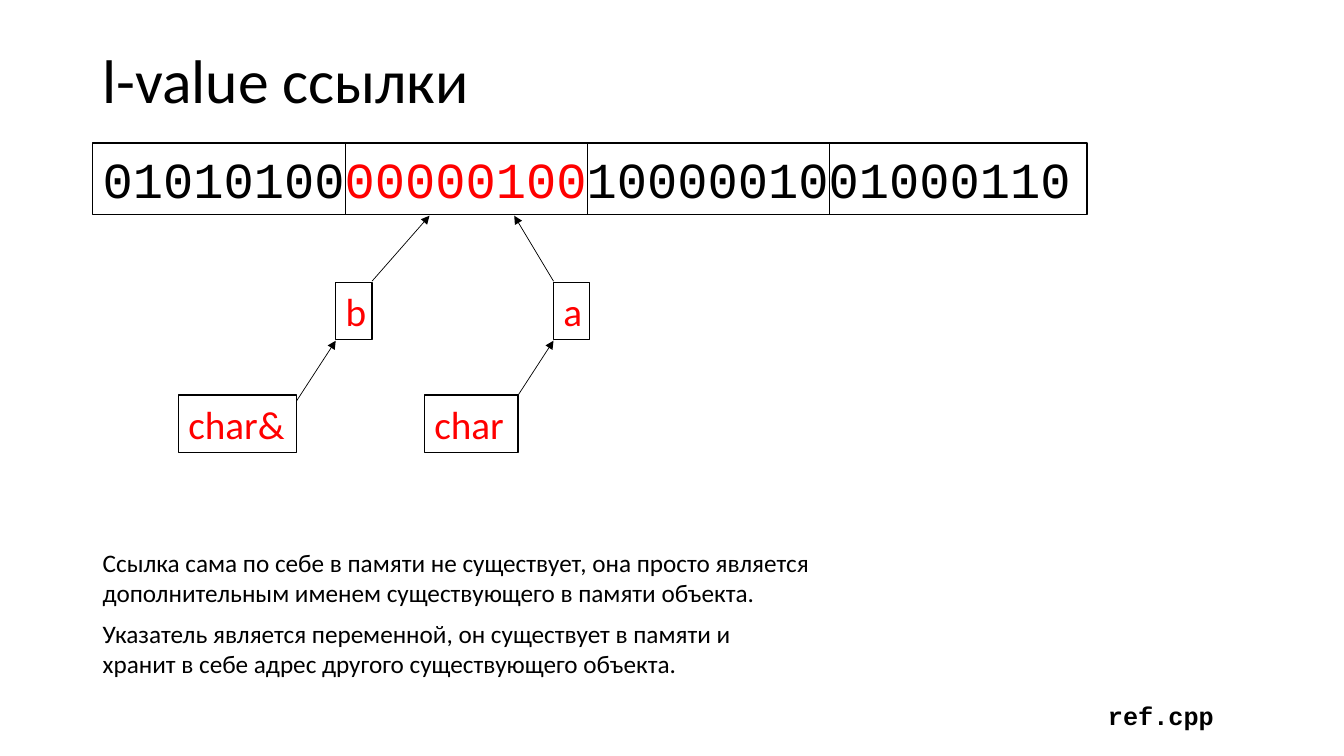
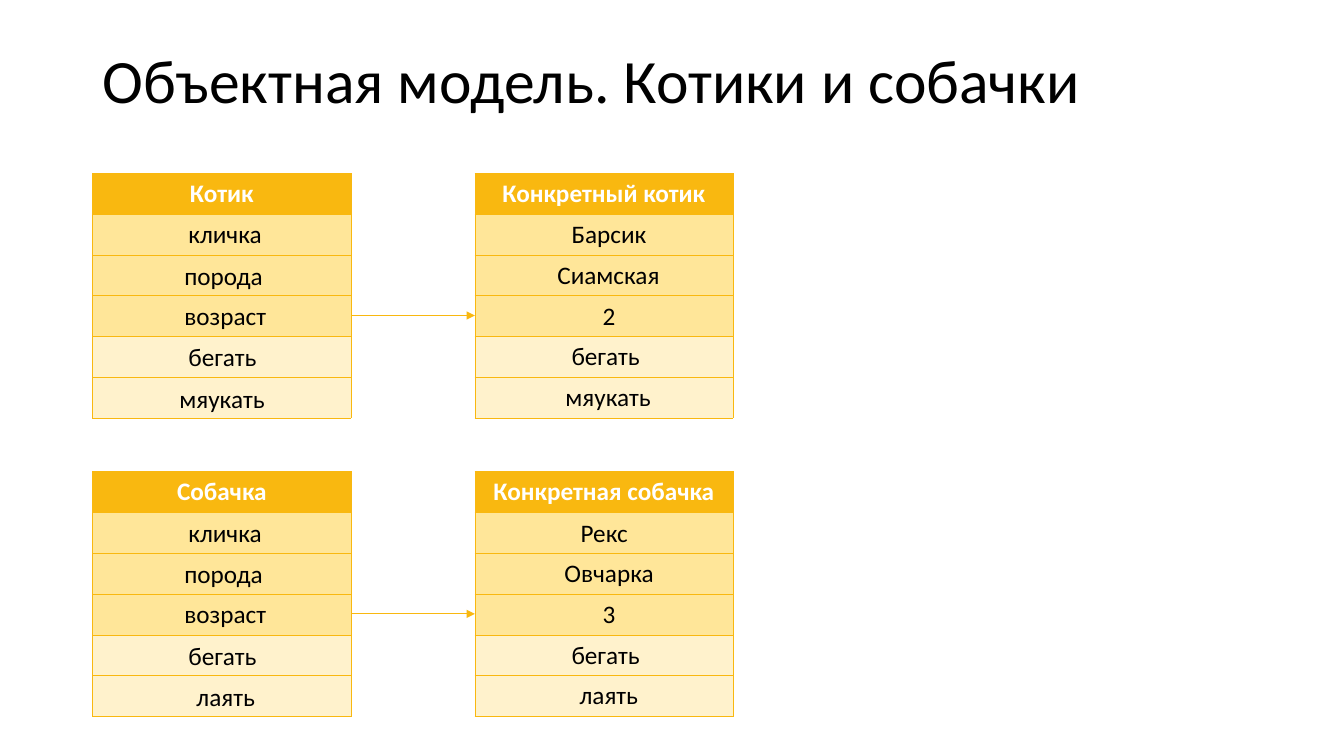
from dataclasses import dataclass

from lxml import etree
from pptx import Presentation
from pptx.dml.color import RGBColor
from pptx.enum.shapes import MSO_CONNECTOR
from pptx.enum.text import MSO_ANCHOR, PP_ALIGN
from pptx.oxml.ns import qn
from pptx.presentation import Presentation as Deck
from pptx.slide import Slide
from pptx.table import _Cell as Cell
from pptx.text.text import _Paragraph as Paragraph
from pptx.util import Emu, Pt

STRAIGHT = MSO_CONNECTOR.STRAIGHT
MIDDLE = MSO_ANCHOR.MIDDLE
CENTER = PP_ALIGN.CENTER

PX_PER_INCH = 100
EMU_PER_PX = 914400 // PX_PER_INCH
SLIDE_WIDTH, SLIDE_HEIGHT = 1333, 750
MARGIN = 92

BLACK = "000000"
WHITE = "FFFFFF"
RED = "FF0000"
GOLD = "F9B810"
FIELD_FILL = "FFE699"
METHOD_FILL = "FFF2CC"

BODY_FONT = "Calibri"
CODE_FONT = "Courier New"
TITLE_SIZE = 44
BITS_SIZE = 36
LABEL_SIZE = 28
BODY_SIZE = 18
THIN = 0.5

STRIP_TOP, STRIP_WIDTH, STRIP_HEIGHT = 142, 986, 71
FIRST_BYTE_END, BYTE_WIDTH = 343, 240
LABEL_HEIGHT = 57
CLASS_LEFT, OBJECT_LEFT = MARGIN, 471
TABLE_WIDTH, TABLE_HEIGHT = 256, 243
ROW_COUNT, FIELD_COUNT = 6, 3
ARROW_DROP = 141
CLASS_DROPS = (40, 81, 121, 162, 203)
OBJECT_DROPS = (40, 80, 121, 161, 201)
MEMBER_HEIGHT = 40
WRAPPED_WIDTH = 112


@dataclass(frozen=True)
class Box:
    left: int
    top: int
    width: int
    height: int


@dataclass(frozen=True)
class Piece:
    text: str
    size: float = BODY_SIZE
    color: str = BLACK
    font: str = BODY_FONT
    bold: bool = False


@dataclass(frozen=True)
class Line:
    start: tuple[int, int]
    end: tuple[int, int]
    color: str = BLACK
    arrow: bool = False


@dataclass(frozen=True)
class Label:
    text: str
    left: int
    top: int
    width: int


@dataclass(frozen=True)
class Member:
    text: str
    left: int
    width: int = WRAPPED_WIDTH


@dataclass(frozen=True)
class Model:
    top: int
    class_name: str
    object_name: str
    class_members: list[Member]
    object_members: list[Member]


LABELS = [
    Label("a", 549, 280, 36),
    Label("b", 333, 280, 36),
    Label("char", 421, 392, 93),
    Label("char&", 177, 392, 117),
]

ARROWS = [
    Line((549, 279), (510, 214), arrow=True),
    Line((369, 279), (426, 214), arrow=True),
    Line((510, 398), (549, 338), arrow=True),
    Line((294, 398), (333, 338), arrow=True),
]

NOTES = [
    (
        Box(MARGIN, 538, 732, 71),
        "Ссылка сама по себе в памяти не существует, она просто является "
        "дополнительным именем существующего в памяти объекта.",
    ),
    (
        Box(MARGIN, 608, 717, 71),
        "Указатель является переменной, он существует в памяти и "
        "хранит в себе адрес другого существующего объекта.",
    ),
]

COMMON_MEMBERS = [
    Member("кличка", 177, 94),
    Member("порода", 173, 99),
    Member("возраст", 173, 102),
    Member("бегать", 177),
]
RUN_METHOD = Member("бегать", 557, 89)

MODELS = [
    Model(
        172,
        "Котик",
        "Конкретный котик",
        [*COMMON_MEMBERS, Member("мяукать", 168)],
        [
            Member("Барсик", 557, 95),
            Member("Сиамская", 543, 123),
            Member("2", 588, 33),
            RUN_METHOD,
            Member("мяукать", 551),
        ],
    ),
    Model(
        468,
        "Собачка",
        "Конкретная собачка",
        [*COMMON_MEMBERS, Member("лаять", 185)],
        [
            Member("Рекс", 566, 68),
            Member("Овчарка", 550, 110),
            Member("3", 588, 33),
            RUN_METHOD,
            Member("лаять", 565),
        ],
    ),
]


def px(value: int) -> Emu:
    return Emu(value * EMU_PER_PX)


def rgb(value: str) -> RGBColor:
    return RGBColor.from_string(value)


def add_pieces(paragraph: Paragraph, pieces: list[Piece]) -> None:
    for piece in pieces:
        run = paragraph.add_run()
        run.text = piece.text
        run.font.size = Pt(piece.size)
        run.font.name = piece.font
        run.font.bold = piece.bold
        run.font.color.rgb = rgb(piece.color)


def add_text(
    slide: Slide,
    box: Box,
    pieces: list[Piece],
    framed: bool = False,
    wrap: bool = True,
) -> Paragraph:
    shape = slide.shapes.add_textbox(
        px(box.left), px(box.top), px(box.width), px(box.height)
    )
    shape.text_frame.word_wrap = wrap
    if framed:
        shape.fill.solid()
        shape.fill.fore_color.rgb = rgb(WHITE)
        shape.line.color.rgb = rgb(BLACK)
        shape.line.width = Pt(1)
    paragraph = shape.text_frame.paragraphs[0]
    add_pieces(paragraph, pieces)
    return paragraph


def add_line(slide: Slide, line: Line) -> None:
    connector = slide.shapes.add_connector(
        STRAIGHT, *(px(value) for value in line.start + line.end)
    )
    connector.line.color.rgb = rgb(line.color)
    connector.line.width = Pt(THIN)
    properties = connector.element.spPr
    if line.arrow:
        etree.SubElement(properties.find(qn("a:ln")), qn("a:tailEnd"), type="triangle")
    etree.SubElement(properties, qn("a:effectLst"))


def add_titled_slide(presentation: Deck, title: str) -> Slide:
    slide = presentation.slides.add_slide(presentation.slide_layouts[6])
    box = Box(MARGIN, 40, 1150, 85)
    paragraph = add_text(slide, box, [Piece(title, TITLE_SIZE)])
    paragraph.line_spacing = 0.9
    slide.shapes[-1].text_frame.vertical_anchor = MIDDLE
    return slide


def set_borders(cell: Cell, color: str) -> None:
    properties = cell._tc.get_or_add_tcPr()
    for index, side in enumerate(("a:lnL", "a:lnR", "a:lnT", "a:lnB")):
        border = etree.Element(qn(side), w=str(Pt(THIN)))
        fill = etree.SubElement(border, qn("a:solidFill"))
        etree.SubElement(fill, qn("a:srgbClr"), val=color)
        properties.insert(index, border)


def row_fill(index: int) -> str:
    if index == 0:
        return GOLD
    return FIELD_FILL if index <= FIELD_COUNT else METHOD_FILL


def add_model_table(slide: Slide, left: int, top: int, name: str) -> None:
    table = slide.shapes.add_table(
        ROW_COUNT, 1, px(left), px(top), px(TABLE_WIDTH), px(TABLE_HEIGHT)
    ).table
    table.horz_banding = False
    for index in range(ROW_COUNT):
        cell = table.cell(index, 0)
        cell.fill.solid()
        cell.fill.fore_color.rgb = rgb(row_fill(index))
        set_borders(cell, GOLD)
    header = table.cell(0, 0).text_frame.paragraphs[0]
    header.alignment = CENTER
    add_pieces(header, [Piece(name, color=WHITE, bold=True)])


def add_members(
    slide: Slide, top: int, drops: tuple[int, ...], members: list[Member]
) -> None:
    for drop, member in zip(drops, members):
        box = Box(member.left, top + drop, member.width, MEMBER_HEIGHT)
        wrap = member.width == WRAPPED_WIDTH
        add_text(slide, box, [Piece(member.text)], wrap=wrap)


def build_reference_slide(presentation: Deck) -> None:
    slide = add_titled_slide(presentation, "l-value ссылки")
    bits = [
        Piece("01010100", BITS_SIZE, BLACK, CODE_FONT),
        Piece("00000100", BITS_SIZE, RED, CODE_FONT),
        Piece("1000001001000110", BITS_SIZE, BLACK, CODE_FONT),
    ]
    strip = Box(MARGIN, STRIP_TOP, STRIP_WIDTH, STRIP_HEIGHT)
    add_text(slide, strip, bits, framed=True)
    for index in range(3):
        x = FIRST_BYTE_END + index * BYTE_WIDTH
        add_line(slide, Line((x, STRIP_TOP), (x, STRIP_TOP + STRIP_HEIGHT)))
    for arrow in ARROWS:
        add_line(slide, arrow)
    for label in LABELS:
        box = Box(label.left, label.top, label.width, LABEL_HEIGHT)
        add_text(slide, box, [Piece(label.text, LABEL_SIZE, RED)], framed=True)
    for box, text in NOTES:
        add_text(slide, box, [Piece(text)])
    file_name = Piece("ref.cpp", font=CODE_FONT, bold=True)
    add_text(slide, Box(1089, 690, 126, 40), [file_name], wrap=False)


def build_model_slide(presentation: Deck) -> None:
    slide = add_titled_slide(presentation, "Объектная модель. Котики и собачки")
    for model in MODELS:
        add_model_table(slide, CLASS_LEFT, model.top, model.class_name)
        add_members(slide, model.top, CLASS_DROPS, model.class_members)
        add_model_table(slide, OBJECT_LEFT, model.top, model.object_name)
        add_members(slide, model.top, OBJECT_DROPS, model.object_members)
        y = model.top + ARROW_DROP
        start = (CLASS_LEFT + TABLE_WIDTH, y)
        add_line(slide, Line(start, (OBJECT_LEFT, y), GOLD, arrow=True))


def main() -> None:
    presentation = Presentation()
    presentation.slide_width = px(SLIDE_WIDTH)
    presentation.slide_height = px(SLIDE_HEIGHT)
    build_reference_slide(presentation)
    build_model_slide(presentation)
    presentation.save("out.pptx")


if __name__ == "__main__":
    main()
